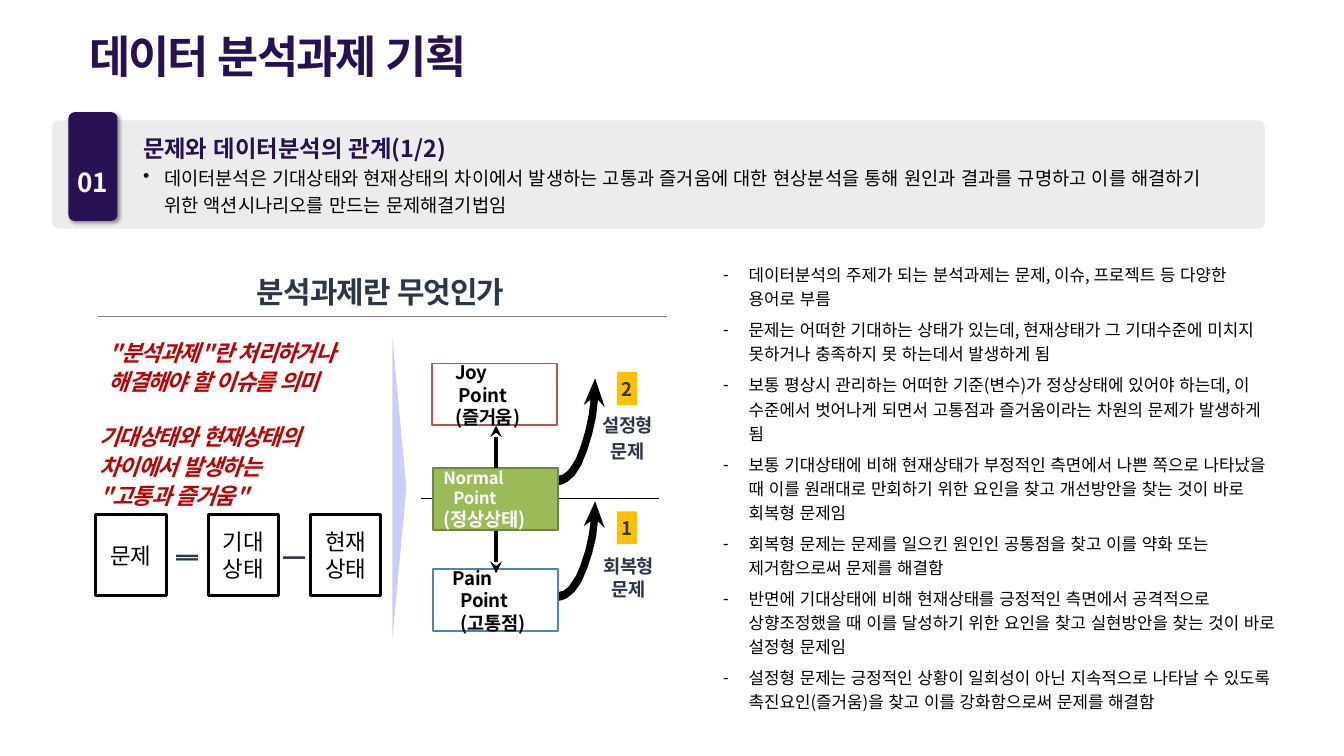
from lxml.etree import SubElement
from pptx import Presentation
from pptx.dml.color import RGBColor
from pptx.enum.lang import MSO_LANGUAGE_ID
from pptx.enum.shapes import MSO_CONNECTOR, MSO_SHAPE
from pptx.enum.text import MSO_ANCHOR, MSO_AUTO_SIZE, PP_ALIGN
from pptx.oxml import parse_xml
from pptx.oxml.ns import nsdecls, qn
from pptx.util import Cm, Pt

FONT = "Noto Sans CJK KR"
PURPLE = RGBColor(0x28, 0x11, 0x53)
SLATE = RGBColor(0x2B, 0x37, 0x48)
RED = RGBColor(0xC0, 0x00, 0x00)
BLACK = RGBColor(0x00, 0x00, 0x00)
WHITE = RGBColor(0xFF, 0xFF, 0xFF)
PANEL_GRAY = RGBColor(0xEC, 0xEC, 0xEC)
RULE_GRAY = RGBColor(0x80, 0x80, 0x80)
AMBER = RGBColor(0xFF, 0xC0, 0x00)
LAVENDER = RGBColor(0xCC, 0xCC, 0xFF)
GREEN = RGBColor(0x9B, 0xBA, 0x58)
DARK_GREEN = RGBColor(0x70, 0x88, 0x3E)
BLUE = RGBColor(0x4F, 0x81, 0xBC)
BRICK = RGBColor(0xC0, 0x50, 0x4D)

DEFINITIONS = [
    "데이터분석의 주제가 되는 분석과제는 문제, 이슈, 프로젝트 등 다양한 용어로 부름",
    "문제는 어떠한 기대하는 상태가 있는데, 현재상태가 그 기대수준에 미치지 못하거나 충족하지 못 하는데서 발생하게 됨",
    "보통 평상시 관리하는 어떠한 기준(변수)가 정상상태에 있어야 하는데, 이 수준에서 벗어나게 되면서 고통점과 즐거움이라는 차원의 문제가 발생하게 됨",
    "보통 기대상태에 비해 현재상태가 부정적인 측면에서 나쁜 쪽으로 나타났을 때 이를 원래대로 만회하기 위한 요인을 찾고 개선방안을 찾는 것이 바로 회복형 문제임",
    "회복형 문제는 문제를 일으킨 원인인 공통점을 찾고 이를 약화 또는 제거함으로써 문제를 해결함",
    "반면에 기대상태에 비해 현재상태를 긍정적인 측면에서 공격적으로 상향조정했을 때 이를 달성하기 위한 요인을 찾고 실현방안을 찾는 것이 바로 설정형 문제임",
    "설정형 문제는 긍정적인 상황이 일회성이 아닌 지속적으로 나타날 수 있도록 촉진요인(즐거움)을 찾고 이를 강화함으로써 문제를 해결함",
]

# Percent of the arrow's box, clockwise from the tip
CURVED_ARROW = [
    (79, 0), (100, 27), (85, 20), (81, 36), (72, 53), (62, 67), (49, 81), (34, 91), (18, 97),
    (9, 99), (0, 100), (0, 91), (9, 90), (18, 87), (24, 84), (37, 75), (47, 64), (57, 50),
    (65, 34), (69, 20), (54, 25),
]
WEDGE = [(0, 0), (100, 50), (0, 100)]


def apply_format(target, values):
    for name, value in values.items():
        setattr(target, name, value)


def place(shape, box):
    apply_format(shape, dict(zip(("left", "top", "width", "height"), map(Cm, box))))


def set_frame(frame, margins=(0.25, 0.13, 0.25, 0.13), anchor=MSO_ANCHOR.TOP, wrap=True):
    names = ("margin_left", "margin_top", "margin_right", "margin_bottom")
    apply_format(frame, dict(zip(names, map(Cm, margins))))
    apply_format(frame, {"vertical_anchor": anchor, "word_wrap": wrap,
                         "auto_size": MSO_AUTO_SIZE.NONE})


def write_paragraph(frame, text, size, color, bold=False, italic=False, spacing=0,
                    indents=(0, 0, 0), bullet=None, **paragraph_format):
    """Fill the frame's empty first paragraph, or add one; indents are left, first, right."""
    paragraph = frame.paragraphs[0] if not frame.text else frame.add_paragraph()
    properties = paragraph._p.get_or_add_pPr()
    for name, value in zip(("marL", "indent", "marR"), indents):
        properties.set(name, str(Cm(value)))
    if bullet:
        SubElement(properties, qn("a:buChar"), char=bullet)
    apply_format(paragraph, {"alignment": PP_ALIGN.LEFT, "space_before": Pt(0),
                             **paragraph_format})
    run = paragraph.add_run()
    run.text = text
    run.font.color.rgb = color
    apply_format(run.font, {"name": FONT, "size": Pt(size), "bold": bold, "italic": italic,
                            "language_id": MSO_LANGUAGE_ID.KOREAN})
    run_properties = run._r.get_or_add_rPr()
    run_properties.set("spc", str(round(spacing * 100)))
    SubElement(run_properties, qn("a:ea"), typeface=FONT)


def write_lines(frame, lines, gap=0, **style):
    for index, line in enumerate(lines):
        write_paragraph(frame, line, space_before=Pt(gap if index else 0), **style)


def add_text(slide, box, lines, margins=(0, 0, 0, 0), wrap=True, **style):
    frame = slide.shapes.add_textbox(*map(Cm, box)).text_frame
    set_frame(frame, margins, wrap=wrap)
    write_lines(frame, lines, **style)
    return frame


def paint(shape, fill=None, line=None, width=2.04):
    shape.shadow.inherit = False
    if fill is None:
        shape.fill.background()
    else:
        shape.fill.solid()
        shape.fill.fore_color.rgb = fill
    if line is None:
        shape.line.fill.background()
    else:
        shape.line.color.rgb = line
        shape.line.width = Pt(width)


def add_box(slide, box, fill=None, line=None, width=2.04, radius=None):
    kind = MSO_SHAPE.RECTANGLE if radius is None else MSO_SHAPE.ROUNDED_RECTANGLE
    shape = slide.shapes.add_shape(kind, *map(Cm, box))
    if radius is not None:
        shape.adjustments[0] = radius
    paint(shape, fill, line, width)
    return shape


def add_outline(slide, points, box, fill):
    left, top, width, height = map(Cm, box)
    builder = slide.shapes.build_freeform(*points[0], scale=(width / 100, height / 100))
    builder.add_line_segments(points[1:])
    paint(builder.convert_to_shape(left, top), fill)


def add_line(slide, start, end, color=BLACK, width=0.72, arrow=False):
    line = slide.shapes.add_connector(MSO_CONNECTOR.STRAIGHT, *map(Cm, start + end))
    line.line.color.rgb = color
    line.line.width = Pt(width)
    if arrow:
        SubElement(line.line._get_or_add_ln(), qn("a:tailEnd"), type="stealth")
    SubElement(line._element.spPr, qn("a:effectLst"))


def add_shadow(shape):
    effects = shape._element.spPr.find(qn("a:effectLst"))
    effects.append(parse_xml(
        f'<a:outerShdw {nsdecls("a")} blurRad="{Pt(4)}" dist="{Pt(3)}" dir="2700000">'
        '<a:srgbClr val="000000"><a:alpha val="40000"/></a:srgbClr></a:outerShdw>'))


def add_header(slide):
    add_box(slide, (1.96, 4.55, 45.85, 4.09), PANEL_GRAY, radius=0.063)
    tab = add_box(slide, (2.59, 4.24, 1.85, 4.11), PURPLE, radius=0.125)
    add_shadow(tab)
    set_frame(tab.text_frame, (0, 0, 0, 0.79), MSO_ANCHOR.BOTTOM)
    write_paragraph(tab.text_frame, "01", 28, WHITE, bold=True, alignment=PP_ALIGN.CENTER)
    frame = add_text(slide, (5.16, 4.75, 41.83, 3.58), ["문제와 데이터분석의 관계(1/2)"],
                     margins=(0.25, 0.13, 0.25, 0.13), size=25, color=PURPLE, bold=True,
                     line_spacing=1.2)
    write_paragraph(
        frame, "데이터분석은 기대상태와 현재상태의 차이에서 발생하는 고통과 즐거움에 대한 현상분석을 통해 "
        "원인과 결과를 규명하고 이를 해결하기 위한 액션시나리오를 만드는 문제해결기법임",
        20, BLACK, indents=(0.79, -0.79, 0), bullet="•", line_spacing=1.2)


def add_equation(slide):
    for left, text in ((3.61, "문제"), (7.87, "기대상태"), (11.73, "현재상태")):
        box = add_box(slide, (left, 19.46, 2.67, 3.05), line=BLACK, width=3.25)
        set_frame(box.text_frame, anchor=MSO_ANCHOR.MIDDLE)
        write_paragraph(box.text_frame, text, 24, BLACK, alignment=PP_ALIGN.CENTER)
    for left, sign in ((6.63, "ᆖ"), (10.67, "ᅳ")):
        add_text(slide, (left, 20.45, 0.8, 1.22), [sign], size=28, color=SLATE, bold=True)


def add_point_diagram(slide):
    for start, end in ((15.93, 16.38), (21.11, 24.92)):
        add_line(slide, (start, 18.85), (end, 18.85))
    points = [
        (16.33, 13.74, BRICK, None, BLACK, (1.02, -0.15, 0.89), [("Joy Point", 20), ("(즐거움)", 20)]),
        (16.38, 17.68, DARK_GREEN, GREEN, WHITE, (0.76, -0.38, 0.89),
         [("Normal Point", 18), ("(정상상태)", 20)]),
        (16.38, 21.51, BLUE, None, BLACK, (1.02, -0.28, 0.89), [("Pain Point (고통점)", 20)]),
    ]
    for left, top, line, fill, color, indents, texts in points:
        box = add_box(slide, (left, top, 4.72, 2.34), fill, line)
        set_frame(box.text_frame, (0, 0.03, 0, 0), MSO_ANCHOR.MIDDLE)
        for text, size in texts:
            write_paragraph(box.text_frame, text, size, color, bold=True, spacing=-0.3,
                            indents=indents)
    for start, end in ((17.68, 16.08), (20.07, 21.67)):
        add_line(slide, (18.75, start), (18.75, end), width=4.3, arrow=True)

    # Curved arrows with numbered problem types
    kinds = [
        (14.3, 4.04, 14.07, "2", (22.53, 15.64, 2.39, 2.01), ["설정형", "문제"]),
        (18.95, 3.76, 19.33, "1", (22.63, 20.98, 2.26, 1.85), ["회복형 문제"]),
    ]
    label = {"color": SLATE, "size": 20, "bold": True, "alignment": PP_ALIGN.CENTER}
    for top, height, badge_top, number, box, lines in kinds:
        add_outline(slide, CURVED_ARROW, (21.13, top, 1.73, height), BLACK)
        badge = add_box(slide, (23.32, badge_top, 0.75, 1.24), AMBER)
        set_frame(badge.text_frame, (0, 0.05, 0, 0), MSO_ANCHOR.MIDDLE)
        write_paragraph(badge.text_frame, number, **label)
        add_text(slide, box, lines, gap=4.2, spacing=-0.8, **label)


def main():
    presentation = Presentation()
    presentation.slide_width = Cm(50.8)
    presentation.slide_height = Cm(50.8 * 9 / 16)
    slide = presentation.slides.add_slide(presentation.slide_layouts[1])
    title, body = slide.placeholders

    # Title and header band
    place(title, (3.12, 0.97, 29.9, 2.31))
    set_frame(title.text_frame)
    write_paragraph(title.text_frame, "데이터 분석과제 기획", 48, PURPLE, bold=True, spacing=-2)
    add_header(slide)

    # Left column: what an analysis task is
    add_text(slide, (8.28, 10.34, 12.22, 1.4), ["분석과제란 무엇인가"], size=32, color=SLATE,
             bold=True, spacing=-1, alignment=PP_ALIGN.CENTER)
    add_line(slide, (3.71, 11.94), (25.2, 11.94), RULE_GRAY)
    emphasis = {"size": 24, "color": RED, "bold": True, "italic": True, "gap": 2.4}
    add_text(slide, (4.06, 12.81, 10.69, 2.21), ['"분석과제"란 처리하거나', "해결해야 할 이슈를 의미"],
             spacing=-1.3, indents=(2.13, -2.08, 0), **emphasis)
    add_text(slide, (3.76, 16.01, 8.86, 3.23), ["기대상태와 현재상태의", "차이에서 발생하는", '"고통과 즐거움"'],
             wrap=False, spacing=-1.2, **emphasis)
    add_equation(slide)
    add_outline(slide, WEDGE, (14.83, 12.75, 0.53, 11.4), LAVENDER)
    add_point_diagram(slide)

    # Right column: definitions
    place(body, (27.08, 9.73, 21.46, 17.5))
    set_frame(body.text_frame)
    write_lines(body.text_frame, DEFINITIONS, gap=7.2, size=18, color=BLACK,
                indents=(0.97, -0.97, 0), bullet="-", line_spacing=1.2)
    presentation.save("out.pptx")


if __name__ == "__main__":
    main()
